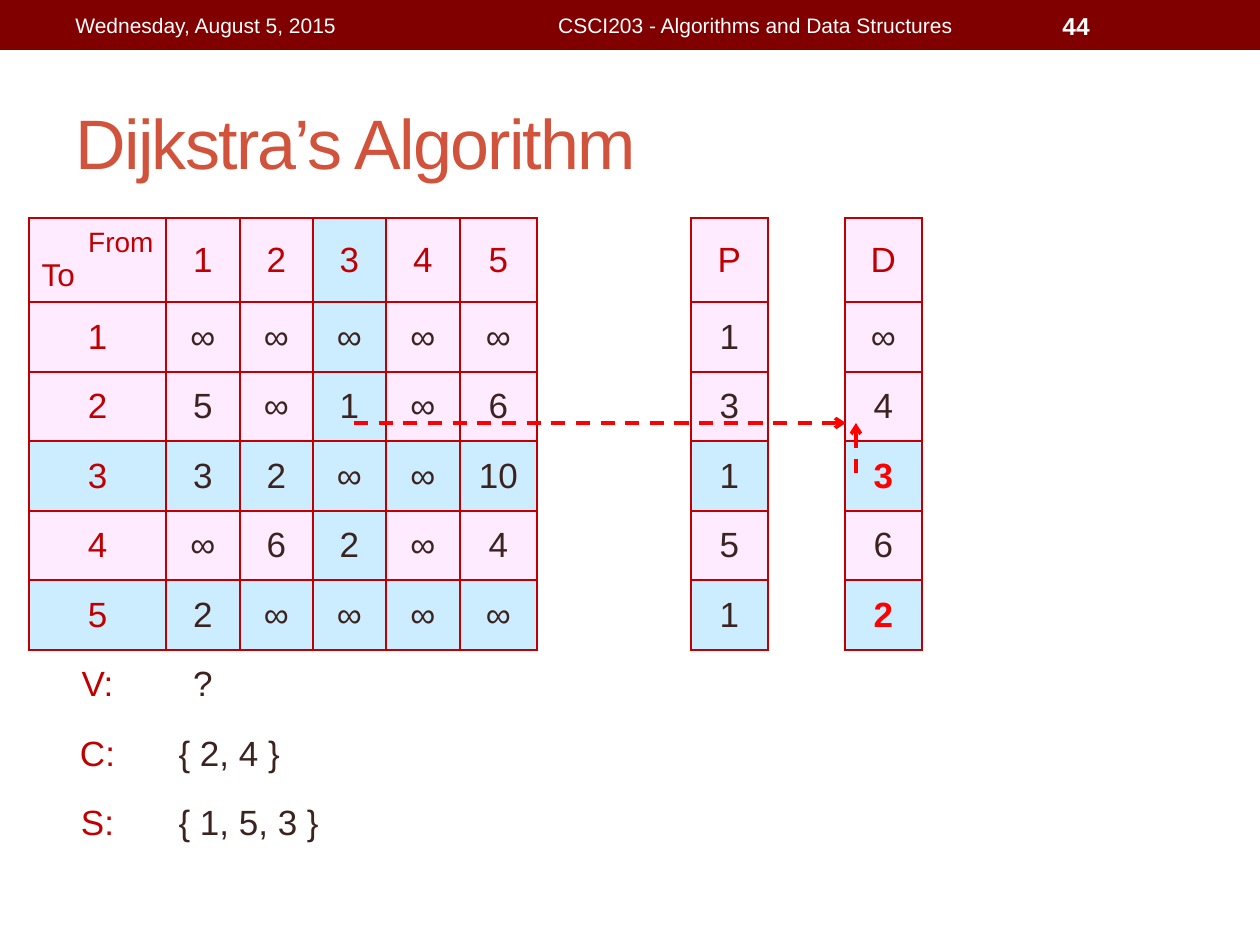
"""Build the slide on Dijkstra's algorithm with its cost table."""
from dataclasses import dataclass

from lxml import etree
from pptx import Presentation
from pptx import util as u
from pptx.dml.color import RGBColor
from pptx.enum import dml, shapes, text
from pptx.oxml.ns import qn

MAROON = RGBColor(0x80, 0x00, 0x00)
CORAL = RGBColor(0xD2, 0x53, 0x3C)
RED = RGBColor(0xC0, 0x00, 0x00)
BRIGHT = RGBColor(0xFF, 0x00, 0x00)
BROWN = RGBColor(0x3C, 0x23, 0x1F)
PINK = RGBColor(0xFF, 0xEB, 0xFF)
BLUE = RGBColor(0xCC, 0xEC, 0xFF)
WHITE = RGBColor(0xFF, 0xFF, 0xFF)

SCALE = u.Inches(1) / 126
FONT = "Arial"
PLAIN = "{2D5ABB26-0587-4C30-8999-92F81FD0307C}"
LEFT, MID, RIGHT = text.PP_ALIGN.LEFT, text.PP_ALIGN.CENTER, text.PP_ALIGN.RIGHT

COLS = [137, 74, 73, 73, 74] + [77] * 6
ROWS = [83] + [70, 69] * 4
GAP = "."
GRID = [line.split() for line in (
    ". 1 2 3 4 5 . . P . D",
    "1 ∞ ∞ ∞ ∞ ∞ . . 1 . ∞",
    "2 5 ∞ 1 ∞ 6 . . 3 . 4",
    "3 3 2 ∞ ∞ 10 . . 1 . 3",
    "4 ∞ 6 2 ∞ 4 . . 5 . 6",
    "5 2 ∞ ∞ ∞ ∞ . . 1 . 2",
)]
DONE = (3, 5)
PICK = 3
LAST = len(COLS) - 1


@dataclass
class Style:
    """Look of one run and its paragraph."""
    size: int
    color: RGBColor
    bold: bool = False
    align: text.PP_ALIGN = LEFT


@dataclass
class Label:
    """Text in the top bar."""
    words: str
    left: int
    width: int
    style: Style


@dataclass
class Arrow:
    """Dashed arrow between two points."""
    start: tuple[int, int]
    end: tuple[int, int]


@dataclass
class Note:
    """Named set below the grid."""
    name: str
    value: str
    align: text.PP_ALIGN = LEFT


LABELS = [
    Label("CSCI203 - Algorithms and Data Structures", 472, 567,
          Style(12, WHITE, align=MID)),
    Label("44", 1050, 147, Style(14, WHITE, True)),
    Label("Wednesday, August 5, 2015", 63, 399, Style(12, WHITE)),
]
ARROWS = [Arrow((856, 473), (856, 423)), Arrow((354, 423), (846, 423))]
NOTES = [Note("V:", "?", MID), Note("C:", "{ 2, 4 }"), Note("S:", "{ 1, 5, 3 }")]


def px(count: int) -> u.Emu:
    """Turn pixels into EMU."""
    return u.Emu(round(count * SCALE))


def write(para, words: str, style: Style):
    """Add one styled run to a paragraph."""
    para.alignment = style.align
    run = para.add_run()
    run.text = words
    font = run.font
    font.name, font.size, font.bold = FONT, u.Pt(style.size), style.bold
    font.color.rgb = style.color
    return run


def head(slide) -> None:
    """Draw the bar and the title."""
    bar = slide.shapes.add_shape(
        shapes.MSO_SHAPE.RECTANGLE, 0, 0, px(1260), px(50))
    bar.shadow.inherit = False
    bar.fill.solid()
    bar.fill.fore_color.rgb = MAROON
    bar.line.fill.background()
    title = slide.shapes.title
    title.left, title.top, title.width, title.height = map(px, (63, 73, 1134, 136))
    frame = title.text_frame
    frame.auto_size = text.MSO_AUTO_SIZE.NONE
    frame.vertical_anchor = text.MSO_ANCHOR.MIDDLE
    run = write(frame.paragraphs[0], "Dijkstra’s Algorithm", Style(40, CORAL))
    run.font._element.set("spc", "-100")


def label(slide, item: Label) -> None:
    """Draw one label of the bar."""
    box = slide.shapes.add_textbox(px(item.left), px(3), px(item.width), px(45))
    frame = box.text_frame
    frame.word_wrap = True
    frame.vertical_anchor = text.MSO_ANCHOR.MIDDLE
    write(frame.paragraphs[0], item.words, item.style)


def edge(cell) -> None:
    """Put a red border round a filled cell."""
    props = cell._tc.get_or_add_tcPr()
    for spot, side in enumerate(("a:lnL", "a:lnR", "a:lnT", "a:lnB")):
        line = etree.Element(qn(side), w=str(u.Pt(1)))
        fill = etree.SubElement(line, qn("a:solidFill"))
        etree.SubElement(fill, qn("a:srgbClr"), val=str(RED))
        props.insert(spot, line)


def paint(cell, row: int, col: int) -> None:
    """Fill and write one cell of the grid."""
    blue = row in DONE or col == PICK
    cell.fill.solid()
    cell.fill.fore_color.rgb = BLUE if blue else PINK
    edge(cell)
    frame = cell.text_frame
    if row == col == 0:
        write(frame.paragraphs[0], "From", Style(16, RED, align=RIGHT))
        write(frame.add_paragraph(), "To", Style(18, RED))
        return
    best = col == LAST and row in DONE
    color = BRIGHT if best else RED if 0 in (row, col) else BROWN
    write(frame.paragraphs[0], GRID[row][col], Style(20, color, best, MID))


def costs(slide) -> None:
    """Draw the table of costs and sets."""
    frame = slide.shapes.add_table(
        len(ROWS), len(COLS), px(29), px(218), px(sum(COLS)), px(sum(ROWS)))
    table = frame.table
    table.first_row = table.horz_banding = False
    next(frame._element.iter(qn("a:tableStyleId"))).text = PLAIN
    for col, width in zip(table.columns, COLS):
        col.width = px(width)
    for row, height in zip(table.rows, ROWS):
        row.height = px(height)
    for cell in table.iter_cells():
        cell.vertical_anchor = text.MSO_ANCHOR.MIDDLE
        cell.fill.background()
    for row, items in enumerate(GRID):
        for col, item in enumerate(items):
            if item != GAP or row == col == 0:
                paint(table.cell(row, col), row, col)
    for row, note in enumerate(NOTES, len(GRID)):
        name, value = table.cell(row, 0), table.cell(row, 1)
        if note.align == LEFT:
            value.merge(table.cell(row, LAST))
        write(name.text_frame.paragraphs[0], note.name, Style(20, RED, align=MID))
        write(value.text_frame.paragraphs[0], note.value,
              Style(20, BROWN, align=note.align))


def arrow(slide, item: Arrow) -> None:
    """Draw one dashed arrow."""
    link = slide.shapes.add_connector(
        shapes.MSO_CONNECTOR.STRAIGHT, *map(px, item.start + item.end))
    link.line.color.rgb = BRIGHT
    link.line.width = u.Pt(2)
    link.line.dash_style = dml.MSO_LINE.DASH
    etree.SubElement(link.line._get_or_add_ln(), qn("a:tailEnd"), type="arrow")
    etree.SubElement(link._element.spPr, qn("a:effectLst"))


def main() -> None:
    """Build and save the slide."""
    deck = Presentation()
    deck.slide_width, deck.slide_height = px(1260), px(945)
    slide = deck.slides.add_slide(deck.slide_layouts[5])
    head(slide)
    for item in LABELS:
        label(slide, item)
    costs(slide)
    for item in ARROWS:
        arrow(slide, item)
    deck.save("out.pptx")


if __name__ == "__main__":
    main()
